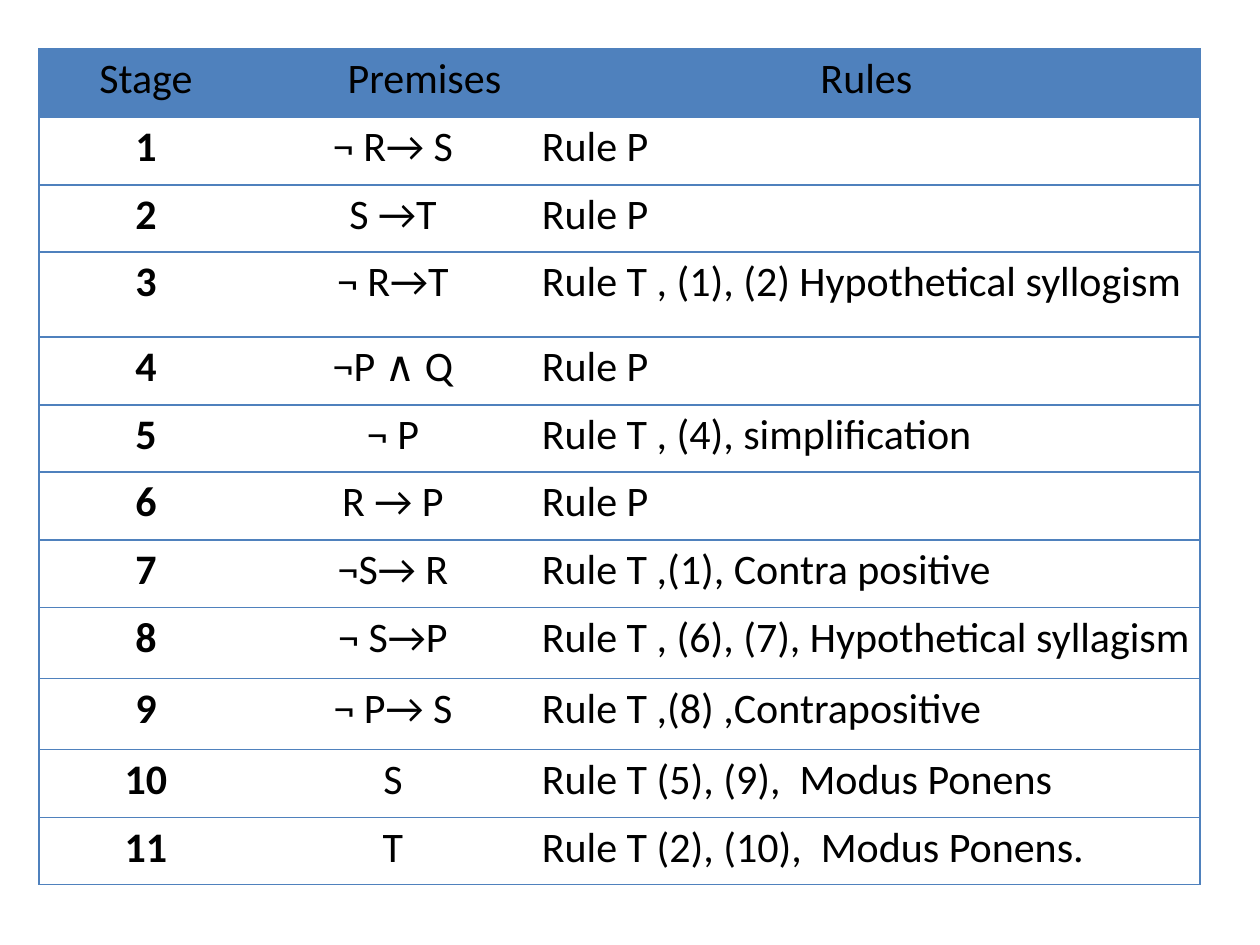
from itertools import pairwise

from lxml import etree
from pptx import Presentation
from pptx import util as u
from pptx.dml.color import RGBColor
from pptx.enum import text
from pptx.oxml import ns

SCALE = 914400 / 126
BLUE = RGBColor(0x4F, 0x81, 0xBD)
BLACK = RGBColor(0, 0, 0)
FONT = "Calibri"
COL_EDGES = [39, 253, 533, 1200]
ROW_EDGES = [49, 117, 185, 252, 337, 405, 472, 540, 608, 679, 750, 818, 885]
HEADERS = ["Stage", "Premises", "Rules"]
STEPS = [
    ("¬ R→ S", "Rule P"),
    ("S →T", "Rule P"),
    ("¬ R→T", "Rule T , (1), (2) Hypothetical syllogism"),
    ("¬P ∧ Q", "Rule P"),
    ("¬ P", "Rule T , (4), simplification"),
    ("R → P", "Rule P"),
    ("¬S→ R", "Rule T ,(1), Contra positive"),
    ("¬ S→P", "Rule T , (6), (7), Hypothetical syllagism"),
    ("¬ P→ S", "Rule T ,(8) ,Contrapositive"),
    ("S", "Rule T (5), (9),  Modus Ponens"),
    ("T", "Rule T (2), (10),  Modus Ponens."),
]


def px(n):
    return u.Emu(round(n * SCALE))


def set_borders(cell, sides):
    tc_pr = cell._tc.get_or_add_tcPr()
    for i, side in enumerate("LRTB"):
        ln = etree.Element(ns.qn(f"a:ln{side}"), w=str(u.Pt(1)))
        if side in sides:
            fill = etree.SubElement(ln, ns.qn("a:solidFill"))
            etree.SubElement(fill, ns.qn("a:srgbClr"), val=str(BLUE))
        else:
            etree.SubElement(ln, ns.qn("a:noFill"))
        tc_pr.insert(i, ln)


def write_cell(cell, words, align, bold=False, indent=0):
    cell.margin_left = cell.margin_right = px(9)
    cell.margin_top = cell.margin_bottom = px(5)
    p = cell.text_frame.paragraphs[0]
    p.alignment = align
    if indent:
        p._p.get_or_add_pPr().set("marL", str(px(indent)))
    r = p.add_run()
    r.text = words
    r.font.name = FONT
    r.font.size = u.Pt(24)
    r.font.bold = bold
    r.font.color.rgb = BLACK


def add_proof_table(s):
    rows = [HEADERS] + [(str(n), *step) for n, step in enumerate(STEPS, 1)]
    left, top = COL_EDGES[0], ROW_EDGES[0]
    frame = s.shapes.add_table(
        len(rows), len(HEADERS), px(left), px(top),
        px(COL_EDGES[-1] - left), px(ROW_EDGES[-1] - top))
    table = frame.table
    table.first_row = table.horz_banding = False
    for col, (a, b) in zip(table.columns, pairwise(COL_EDGES)):
        col.width = px(b - a)
    for row, (a, b) in zip(table.rows, pairwise(ROW_EDGES)):
        row.height = px(b - a)

    for i, row in enumerate(rows):
        for j, words in enumerate(row):
            cell = table.cell(i, j)
            header = i == 0
            if header:
                cell.fill.solid()
                cell.fill.fore_color.rgb = BLUE
            else:
                cell.fill.background()
            set_borders(cell, ("LTB", "TB", "RTB")[j])
            centred = header or j < 2
            align = text.PP_ALIGN.CENTER if centred else text.PP_ALIGN.LEFT
            write_cell(cell, words, align, bold=not header and j == 0,
                       indent=63 if header and j == 1 else 0)


def main():
    prs = Presentation()
    prs.slide_width, prs.slide_height = u.Inches(10), u.Inches(7.5)
    s = prs.slides.add_slide(prs.slide_layouts[6])
    add_proof_table(s)
    prs.save("out.pptx")


if __name__ == "__main__":
    main()
